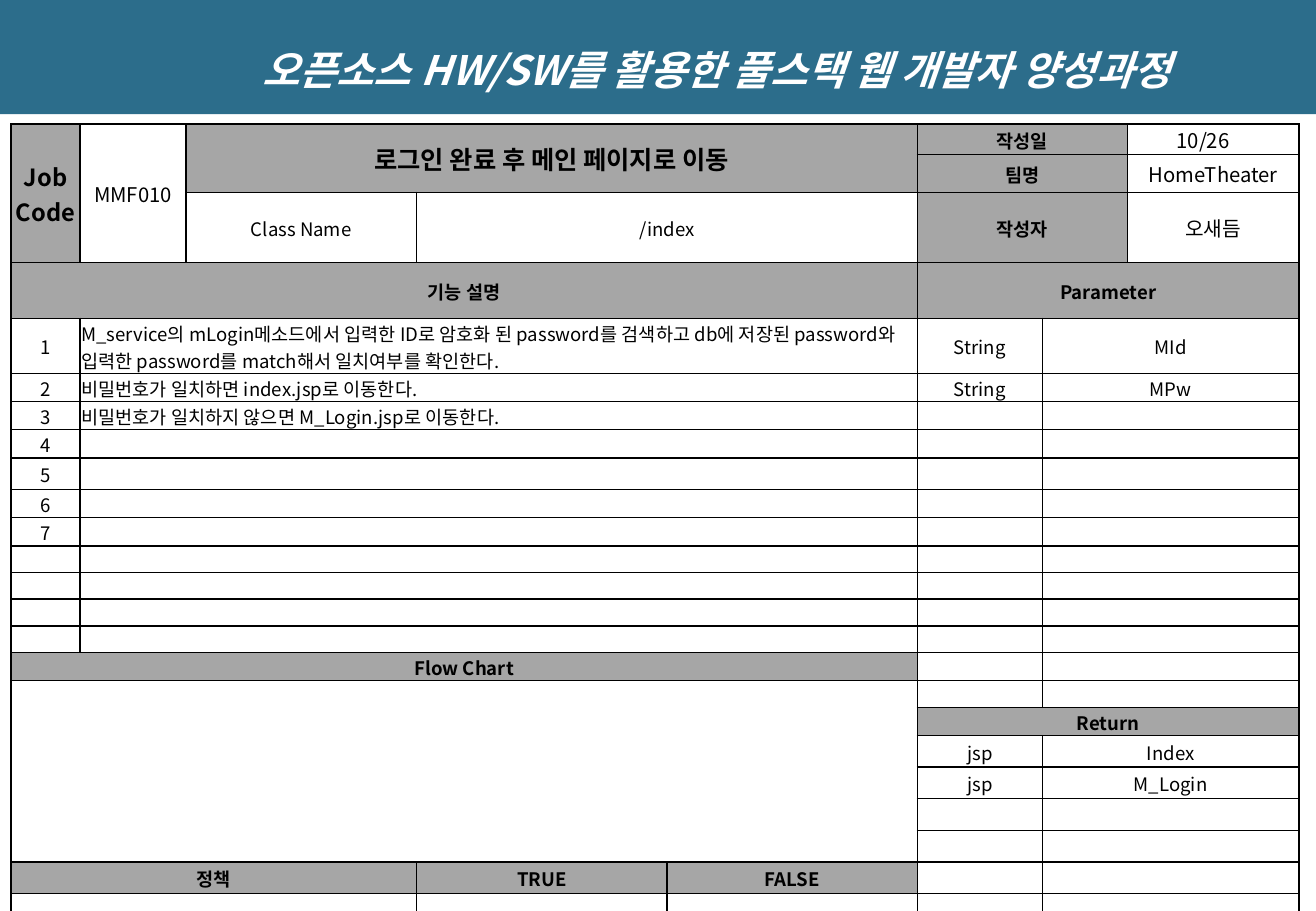
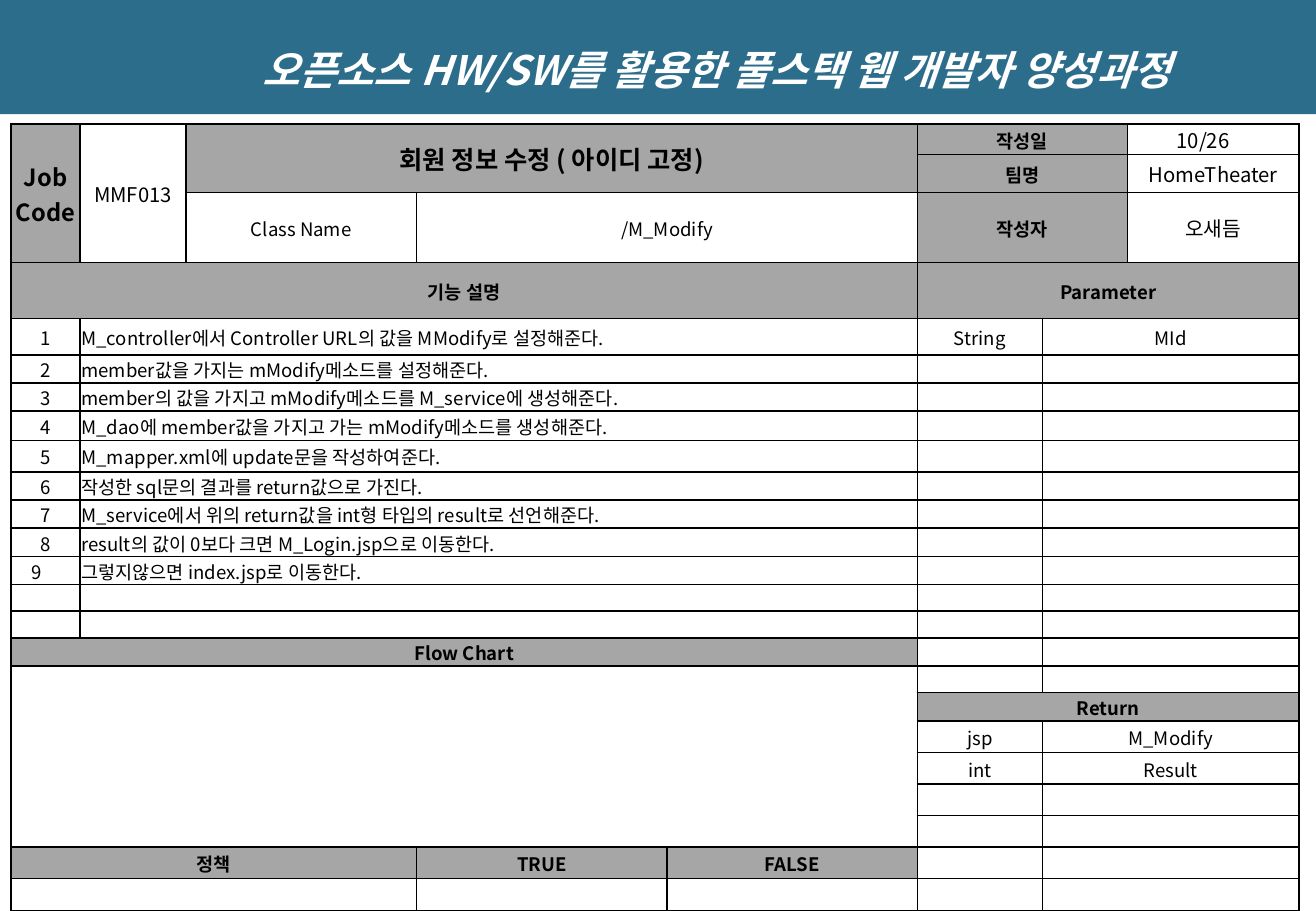
from lxml import etree
from pptx import Presentation
from pptx.dml.color import RGBColor
from pptx.enum.text import MSO_ANCHOR, MSO_AUTO_SIZE, PP_ALIGN
from pptx.oxml.ns import qn
from pptx.util import Inches, Pt

MIDDLE = MSO_ANCHOR.MIDDLE
CENTER, LEFT = PP_ALIGN.CENTER, PP_ALIGN.LEFT


class Theme:
    font = "Noto Sans CJK KR"
    band = RGBColor.from_string("2C6D8B")
    header = RGBColor.from_string("A6A6A6")
    white = RGBColor.from_string("FFFFFF")
    black = RGBColor.from_string("000000")
    title, heading, job, info, body = Pt(24), Pt(15), Pt(14), Pt(12), Pt(11)
    border = Pt(1)


COURSE = "오픈소스 HW/SW를 활용한 풀스택 웹 개발자 양성과정"
COLS = [0.57, 0.87, 1.9, 2.06, 2.06, 1.03, 0.7, 1.41]
FIRST_STEP, FLOW, RETURN, POLICY, LAST = 4, 15, 17, 22, 24

FORMS = [
    {
        "code": "MMF010",
        "heading": "로그인 완료 후 메인 페이지로 이동",
        "class": "/index",
        "step_rows": [0.38, 0.22, 0.22, 0.23],
        "steps": [
            "M_service의 mLogin메소드에서 입력한 ID로 암호화 된 password를 검색하고 "
            "db에 저장된 password와 입력한 password를 match해서 일치여부를 확인한다.",
            "비밀번호가 일치하면 index.jsp로 이동한다.",
            "비밀번호가 일치하지 않으면 M_Login.jsp로 이동한다.",
        ],
        "numbers": "1 2 3 4 5 6 7".split(" "),
        "parameters": [("String", "MId"), ("String", "MPw")],
        "returns": [("jsp", "Index"), ("jsp", "M_Login")],
    },
    {
        "code": "MMF013",
        "heading": "회원 정보 수정 ( 아이디 고정)",
        "class": "/M_Modify",
        "step_rows": [0.3, 0.22, 0.22, 0.24],
        "steps": [
            "M_controller에서 Controller URL의 값을 MModify로 설정해준다.",
            "member값을 가지는 mModify메소드를 설정해준다.",
            "member의 값을 가지고 mModify메소드를 M_service에 생성해준다.",
            "M_dao에 member값을 가지고 가는 mModify메소드를 생성해준다.",
            "M_mapper.xml에 update문을 작성하여준다.",
            "작성한 sql문의 결과를 return값으로 가진다.",
            "M_service에서 위의 return값을 int형 타입의 result로 선언해준다.",
            "result의 값이 0보다 크면 M_Login.jsp으로 이동한다.",
            "그렇지않으면 index.jsp로 이동한다.",
        ],
        "numbers": "1 2 3 4 5 6 7 8 9　".split(" "),
        "parameters": [("String", "MId")],
        "returns": [("jsp", "M_Modify"), ("int", "Result")],
    },
]


def add_text(p, text, size, color, bold=False, italic=False):
    """Add text to a paragraph; a newline becomes a line break of the same size."""
    for i, line in enumerate(text.split("\n")):
        if i:
            etree.SubElement(p._p.add_br(), qn("a:rPr"), sz=str(int(size.pt * 100)))
        r = p.add_run()
        r.text = line
        r.font.name, r.font.size = Theme.font, size
        r.font.bold, r.font.italic = bold, italic
        r.font.color.rgb = color
        etree.SubElement(r.font._element, qn("a:ea"), typeface=Theme.font)


def put(tbl, row, col, text="", rows=1, cols=1, size=Theme.body, header=False, align=CENTER):
    """Fill one cell, merged over rows and cols; header cells are grey and bold."""
    cell = tbl.cell(row, col)
    if rows * cols > 1:
        cell.merge(tbl.cell(row + rows - 1, col + cols - 1))
    if header:
        cell.fill.solid()
        cell.fill.fore_color.rgb = Theme.header
    if text:
        p = cell.text_frame.paragraphs[0]
        p.alignment = align
        add_text(p, text, size, Theme.black, bold=header)


prs = Presentation()
prs.slide_width, prs.slide_height = Inches(10.83), Inches(7.5)

for form in FORMS:
    s = prs.slides.add_slide(prs.slide_layouts[5])

    # Title band
    band = s.shapes.title
    band.left, band.top = 0, 0
    band.width, band.height = prs.slide_width, Inches(0.94)
    band.fill.solid()
    band.fill.fore_color.rgb = Theme.band
    tf = band.text_frame
    tf.auto_size, tf.word_wrap = MSO_AUTO_SIZE.NONE, True
    tf.vertical_anchor = MIDDLE
    tf.margin_left = Inches(1.06)
    p = tf.paragraphs[0]
    p.alignment, p.line_spacing = CENTER, 1.5
    add_text(p, COURSE, Theme.title, Theme.white, bold=True, italic=True)

    # Empty grid
    heights = [0.22] * 3 + [0.46] + form["step_rows"] + [0.26] + [0.22] * 8 + [0.2] + [0.26] * 7
    frame = s.shapes.add_table(len(heights), len(COLS), Inches(0.09), Inches(1.02),
                               Inches(sum(COLS)), Inches(sum(heights)))
    tbl = frame.table
    tbl.first_row = tbl.horz_banding = False
    for column, width in zip(tbl.columns, COLS):
        column.width = Inches(width)
    for row, height in zip(tbl.rows, heights):
        row.height = Inches(height)
    for cell in tbl.iter_cells():
        cell.margin_left = cell.margin_right = cell.margin_top = Inches(0.01)
        cell.margin_bottom = 0
        cell.vertical_anchor = MIDDLE
        end = cell.text_frame.paragraphs[0]._p.get_or_add_endParaRPr()
        end.set("sz", str(int(Theme.body.pt * 100)))
        for side in ("L", "R", "T", "B"):
            ln = etree.SubElement(cell._tc.get_or_add_tcPr(), qn(f"a:ln{side}"),
                                  w=str(Theme.border))
            fill = etree.SubElement(ln, qn("a:solidFill"))
            etree.SubElement(fill, qn("a:srgbClr"), val=str(Theme.black))
        cell.fill.solid()
        cell.fill.fore_color.rgb = Theme.white

    # Form head
    put(tbl, 0, 0, "Job\nCode", rows=3, size=Theme.job, header=True)
    put(tbl, 0, 1, form["code"], rows=3, size=Theme.info)
    put(tbl, 0, 2, form["heading"], rows=2, cols=3, size=Theme.heading, header=True)
    put(tbl, 2, 2, "Class Name")
    put(tbl, 2, 3, form["class"], cols=2)
    for row, (label, value) in enumerate([("작성일", "10/26　"), ("팀명", "HomeTheater"),
                                          ("작성자", "오새듬")]):
        put(tbl, row, 5, label, cols=2, header=True)
        put(tbl, row, 7, value, size=Theme.info)

    # Section headers
    put(tbl, FIRST_STEP - 1, 0, "기능 설명", cols=5, header=True)
    put(tbl, FIRST_STEP - 1, 5, "Parameter", cols=3, header=True)
    put(tbl, FLOW, 0, "Flow Chart", cols=5, header=True)
    put(tbl, FLOW + 1, 0, rows=POLICY - FLOW - 1, cols=5)
    put(tbl, RETURN, 5, "Return", cols=3, header=True)
    put(tbl, POLICY, 0, "정책", cols=3, header=True)
    put(tbl, POLICY, 3, "TRUE", header=True)
    put(tbl, POLICY, 4, "FALSE", header=True)
    for row in range(POLICY + 1, LAST + 1):
        put(tbl, row, 0, cols=3)

    # Steps, parameters and return values
    numbers = dict(enumerate(form["numbers"], FIRST_STEP))
    steps = dict(enumerate(form["steps"], FIRST_STEP))
    for row in range(FIRST_STEP, FLOW):
        put(tbl, row, 0, numbers.get(row, ""))
        put(tbl, row, 1, steps.get(row, ""), cols=4, align=LEFT)
    values = dict(enumerate(form["parameters"], FIRST_STEP))
    values.update(enumerate(form["returns"], RETURN + 1))
    for row in range(FIRST_STEP, LAST + 1):
        if row != RETURN:
            kind, name = values.get(row, ("", ""))
            put(tbl, row, 5, kind)
            put(tbl, row, 6, name, cols=2)

prs.save("out.pptx")
